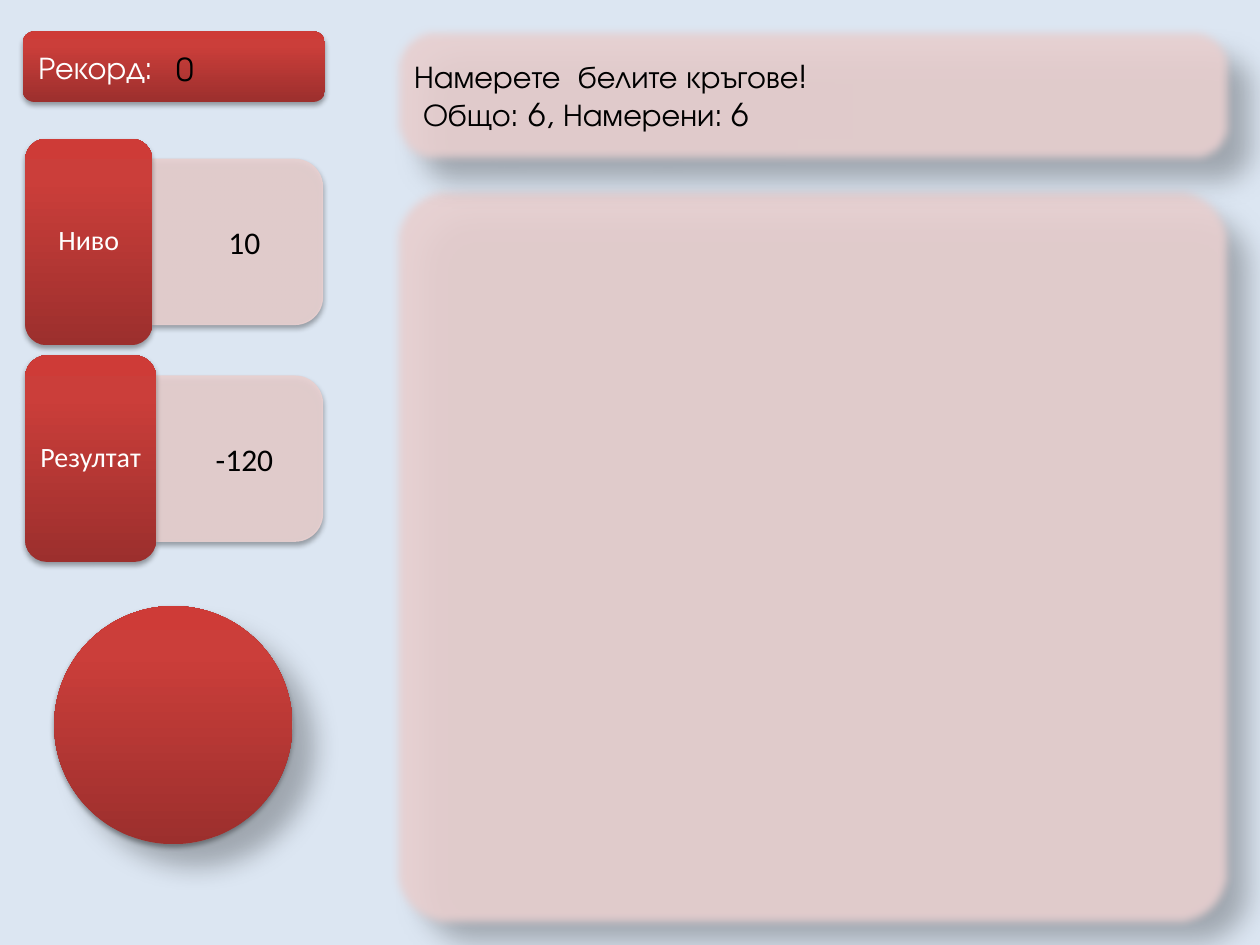
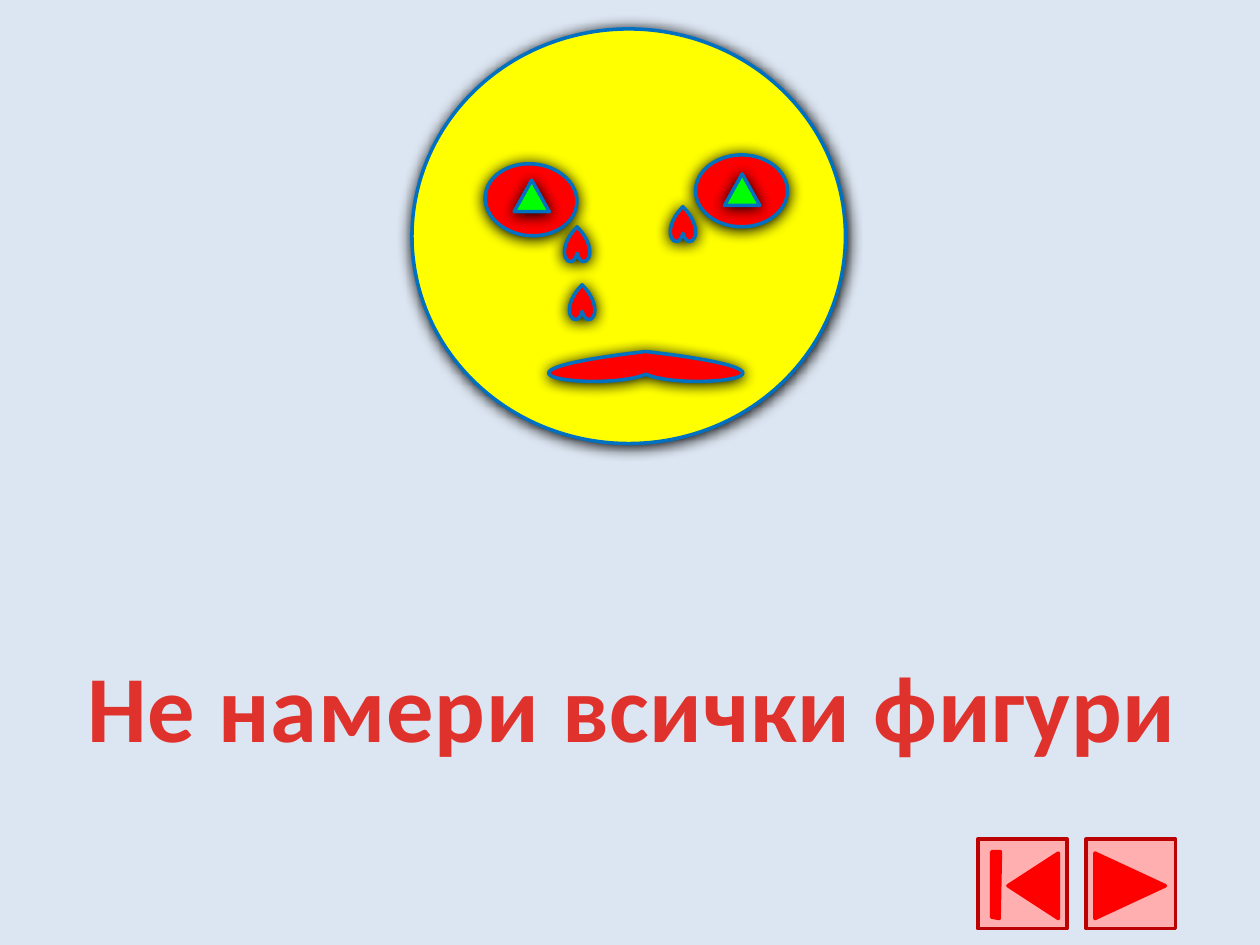
from copy import deepcopy
from dataclasses import dataclass

from lxml import etree
from pptx import Presentation
from pptx.dml.color import RGBColor
from pptx.enum.shapes import MSO_SHAPE
from pptx.enum.text import MSO_ANCHOR, MSO_AUTO_SIZE, PP_ALIGN
from pptx.oxml.ns import qn
from pptx.util import Inches, Pt

ROUNDED = MSO_SHAPE.ROUNDED_RECTANGLE
ROUNDED_TOP = MSO_SHAPE.ROUND_2_SAME_RECTANGLE
OVAL = MSO_SHAPE.OVAL
TRIANGLE = MSO_SHAPE.ISOSCELES_TRIANGLE
HEART = MSO_SHAPE.HEART
RECTANGLE = MSO_SHAPE.RECTANGLE
LEFT, CENTER = PP_ALIGN.LEFT, PP_ALIGN.CENTER
TOP, MIDDLE = MSO_ANCHOR.TOP, MSO_ANCHOR.MIDDLE
NO_FIT = MSO_AUTO_SIZE.NONE
TITLE_ONLY, BLANK = 5, 6


@dataclass(frozen=True)
class Theme:
    """Colours, fonts, sizes and shadows shared by the slides."""
    background: str = "DCE6F2"
    panel: str = "E8D0D0"
    panel_opacity: int = 90
    badge_stops: tuple = ((0, "9C2F2D"), (0.8, "CB3E3A"), (1, "CE3B37"))
    headline: str = "E0322D"
    black: str = "000000"
    white: str = "FFFFFF"
    face: str = "FFFF00"
    red: str = "FF0000"
    pupil: str = "00FF00"
    outline: str = "0070C0"
    button: str = "FFAFAF"
    button_edge: str = "BB0101"
    game_font: str = "TeX Gyre Adventor"
    body_font: str = "Calibri"
    text_size: int = 18
    label_size: int = 16
    headline_size: int = 54
    line_width: int = 2
    panel_shadow: tuple = (30, 15, 18, 45)
    badge_shadow: tuple = (35, 3.1, 1.8, 90)
    face_shadow: tuple = (100, 8.5, 1, 90)


THEME = Theme()


def rgb(color):
    """Return a colour object for a hex string."""
    return RGBColor.from_string(color)


def add_child(parent, tag, **attributes):
    """Append a drawing element with the given attributes."""
    texts = {name: str(value) for name, value in attributes.items()}
    return etree.SubElement(parent, qn(tag), texts)


def set_opacity(fill_owner, percent):
    """Make the solid fill directly inside an element translucent."""
    color = fill_owner.find(qn("a:solidFill"))[0]
    add_child(color, "a:alpha", val=percent * 1000)


def set_effects(shape, shadow=None, soft_edge=0):
    """Replace inherited effects by a shadow and a soft edge."""
    shape.shadow.inherit = False
    effects = shape._element.spPr.find(qn("a:effectLst"))
    if shadow:
        opacity, blur, distance, angle = shadow
        outer = add_child(effects, "a:outerShdw", blurRad=Pt(blur), dist=Pt(distance),
                          dir=angle * 60000, rotWithShape=0)
        color = add_child(outer, "a:srgbClr", val=THEME.black)
        add_child(color, "a:alpha", val=opacity * 1000)
    if soft_edge:
        add_child(effects, "a:softEdge", rad=Pt(soft_edge))


def paint(shape, fill, line=None, shadow=None):
    """Give a shape its fill, line and shadow."""
    shape.fill.solid()
    shape.fill.fore_color.rgb = rgb(fill)
    if line:
        shape.line.color.rgb = rgb(line)
        shape.line.width = Pt(THEME.line_width)
    else:
        shape.line.fill.background()
    set_effects(shape, shadow)


def add_shape(slide, kind, box, rotation=0):
    """Add a preset shape in a box of inches."""
    shape = slide.shapes.add_shape(kind, *map(Inches, box))
    shape.rotation = rotation
    return shape


def write(shape, lines, size, color, font, align=LEFT, anchor=MIDDLE):
    """Write evenly formatted paragraphs into a shape."""
    frame = shape.text_frame
    frame.word_wrap = True
    frame.auto_size = NO_FIT
    frame.vertical_anchor = anchor
    frame.text = "\n".join(lines)
    for paragraph in frame.paragraphs:
        paragraph.alignment = align
        paragraph.font.size = Pt(size)
        paragraph.font.name = font
        paragraph.font.color.rgb = rgb(color)
    return frame


def add_value(slide, box, text, font=THEME.body_font, align=CENTER, anchor=MIDDLE):
    """Add a counter value in a text box."""
    text_box = slide.shapes.add_textbox(*map(Inches, box))
    write(text_box, [text], THEME.text_size, THEME.black, font, align, anchor)


def add_panel(slide, kind, box, shadow, rotation=0):
    """Add a translucent pink panel."""
    panel = add_shape(slide, kind, box, rotation)
    paint(panel, THEME.panel, shadow=shadow)
    set_opacity(panel._element.spPr, THEME.panel_opacity)
    return panel


def add_badge(slide, kind, box):
    """Add a red shape shaded from light top to dark bottom."""
    badge = add_shape(slide, kind, box)
    badge.fill.gradient()
    badge.fill.gradient_angle = 90
    stop_list = badge._element.spPr.find(qn("a:gradFill")).find(qn("a:gsLst"))
    stop_list.append(deepcopy(stop_list[-1]))
    for stop, (position, color) in zip(badge.fill.gradient_stops, THEME.badge_stops):
        stop.position = position
        stop.color.rgb = rgb(color)
    badge.line.fill.background()
    set_effects(badge, THEME.badge_shadow)
    return badge


def add_board(slide, box, radius, lines=()):
    """Add a soft-edged game board with optional instructions."""
    board = add_panel(slide, ROUNDED, box, THEME.panel_shadow)
    board.adjustments[0] = radius
    set_effects(board, soft_edge=0)
    effects = board._element.spPr.find(qn("a:effectLst"))
    board._element.spPr.remove(effects)
    set_effects(board, THEME.panel_shadow, soft_edge=5)
    if lines:
        frame = write(board, lines, THEME.text_size, THEME.black, THEME.game_font)
        frame.paragraphs[-1]._p.get_or_add_pPr().set("marL", str(Inches(0.07)))


def add_counter(slide, box, label, label_width, value):
    """Add a red label with its value on a pink panel to the right."""
    left, top, width, height = box
    panel_height = 1.31
    panel_width = width - label_width
    middle = top + height / 2
    center = left + label_width + panel_width / 2
    panel_box = (center - panel_height / 2, middle - panel_width / 2,
                 panel_height, panel_width)
    panel = add_panel(slide, ROUNDED_TOP, panel_box, THEME.badge_shadow, 90)
    panel.line.color.rgb = rgb(THEME.panel)
    panel.line.width = Pt(0.75)
    set_opacity(panel.line._get_or_add_ln(), THEME.panel_opacity)
    badge = add_badge(slide, ROUNDED, (left, top, label_width, height))
    frame = write(badge, [label], THEME.label_size, THEME.white, THEME.body_font, CENTER)
    frame.margin_left = frame.margin_right = Inches(0.07)
    frame.margin_top = frame.margin_bottom = Inches(0.03)
    frame.paragraphs[0].line_spacing = 0.9
    add_value(slide, (left + 1.1, middle - 0.2, 1.28, 0.4), value)


def add_record(slide, box):
    """Add the record bar with its value."""
    left, top, width, height = box
    bar = add_badge(slide, ROUNDED, box)
    write(bar, ["Рекорд:"], THEME.text_size, THEME.white, THEME.game_font)
    add_value(slide, (left + 1.12, top + 0.1, width - 1.12, 0.4), "0",
              THEME.game_font, LEFT, TOP)


def add_sad_face(slide, box):
    """Add a crying face whose parts are placed from the corner of its box."""
    left, top, width, height = box
    parts = (
        (OVAL, THEME.face, 0, (0, 0, width, height)),
        (OVAL, THEME.red, 275.1, (0.66, 0.99, 0.57, 0.73)),
        (OVAL, THEME.red, 90, (2.33, 0.92, 0.57, 0.73)),
        (TRIANGLE, THEME.pupil, 0, (0.81, 1.2, 0.28, 0.25)),
        (TRIANGLE, THEME.pupil, 0, (2.48, 1.15, 0.28, 0.25)),
        (HEART, THEME.red, 180, (1.09, 2.56, 1.53, 0.24)),
        (HEART, THEME.red, 180, (1.21, 1.57, 0.2, 0.28)),
        (HEART, THEME.red, 180, (1.25, 2.03, 0.2, 0.28)),
        (HEART, THEME.red, 180, (2.05, 1.41, 0.2, 0.28)),
    )
    for kind, fill, rotation, (x, y, part_width, part_height) in parts:
        part = add_shape(slide, kind, (left + x, top + y, part_width, part_height), rotation)
        paint(part, fill, THEME.outline, THEME.face_shadow)


def add_button(slide, box, icons):
    """Add a square button with red outlines placed from its corner."""
    left, top, *_ = box
    paint(add_shape(slide, RECTANGLE, box), THEME.button, THEME.button_edge)
    for icon in icons:
        points = [(Inches(left + x), Inches(top + y)) for x, y in icon]
        builder = slide.shapes.build_freeform(*points[0])
        builder.add_line_segments(points[1:], close=True)
        paint(builder.convert_to_shape(), THEME.red, THEME.red)


def add_headline(slide, box, text):
    """Place the large message in the title placeholder."""
    title = slide.shapes.title
    title.left, title.top, title.width, title.height = map(Inches, box)
    frame = write(title, [text], THEME.headline_size, THEME.headline,
                  THEME.body_font, CENTER, TOP)
    font = frame.paragraphs[0].font
    font.bold = True
    frame.paragraphs[0].runs[0]._r.get_or_add_rPr().set("spc", "50")


def new_slide(presentation, layout):
    """Add a slide with the shared background."""
    slide = presentation.slides.add_slide(presentation.slide_layouts[layout])
    slide.background.fill.solid()
    slide.background.fill.fore_color.rgb = rgb(THEME.background)
    return slide


def build_game(presentation):
    """Build the game slide with its counters and boards."""
    slide = new_slide(presentation, BLANK)
    add_board(slide, (3.11, 1.47, 6.69, 5.91), 0.07)
    add_board(slide, (3.11, 0.2, 6.69, 1.11), 0.244,
              ["Намерете  белите кръгове!", "Общо: 6, Намерени: 6"])
    add_counter(slide, (0.2, 1.1, 2.36, 1.64), "Ниво", 1.01, "10")
    add_counter(slide, (0.2, 2.82, 2.36, 1.64), "Резултат", 1.04, "-120")
    circle_box = (0.43, 4.81, 1.89, 1.89)
    add_panel(slide, OVAL, circle_box, THEME.panel_shadow)
    add_badge(slide, OVAL, circle_box)
    add_record(slide, (0.18, 0.25, 2.4, 0.56))


def build_failure(presentation):
    """Build the slide shown when figures are missed."""
    slide = new_slide(presentation, TITLE_ONLY)
    add_headline(slide, (0.01, 5.09, 10.02, 1.01), "Не намери всички фигури")
    add_sad_face(slide, (3.27, 0.23, 3.44, 3.29))
    back_arrow = ((0.64, 0.63), (0.24, 0.37), (0.64, 0.11))
    back_bar = ((0.11, 0.1), (0.18, 0.1), (0.17, 0.63), (0.11, 0.62))
    next_arrow = ((0.07, 0.63), (0.63, 0.37), (0.07, 0.11))
    add_button(slide, (7.76, 6.66, 0.71, 0.71), [back_arrow, back_bar])
    add_button(slide, (8.62, 6.66, 0.71, 0.71), [next_arrow])


def main():
    """Build and save the presentation."""
    presentation = Presentation()
    presentation.slide_width = Inches(10)
    presentation.slide_height = Inches(7.5)
    build_game(presentation)
    build_failure(presentation)
    presentation.save("out.pptx")


if __name__ == "__main__":
    main()
